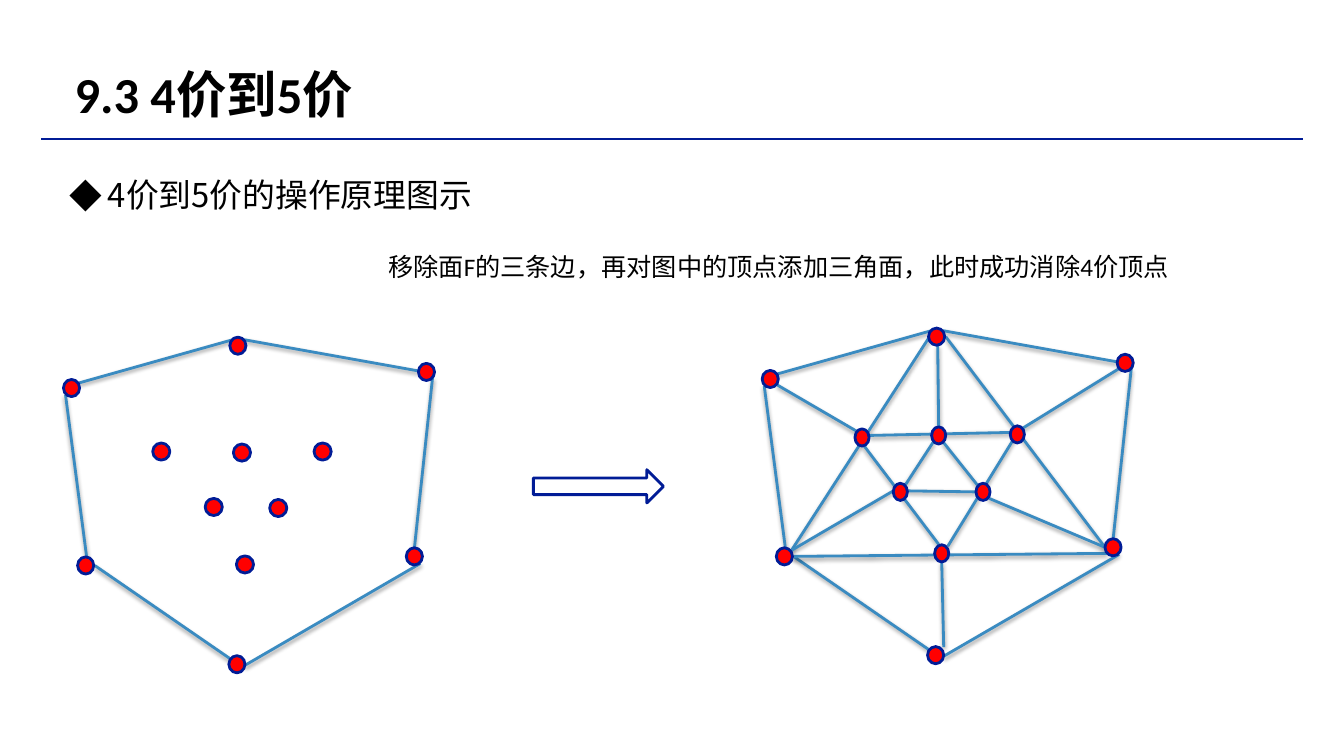
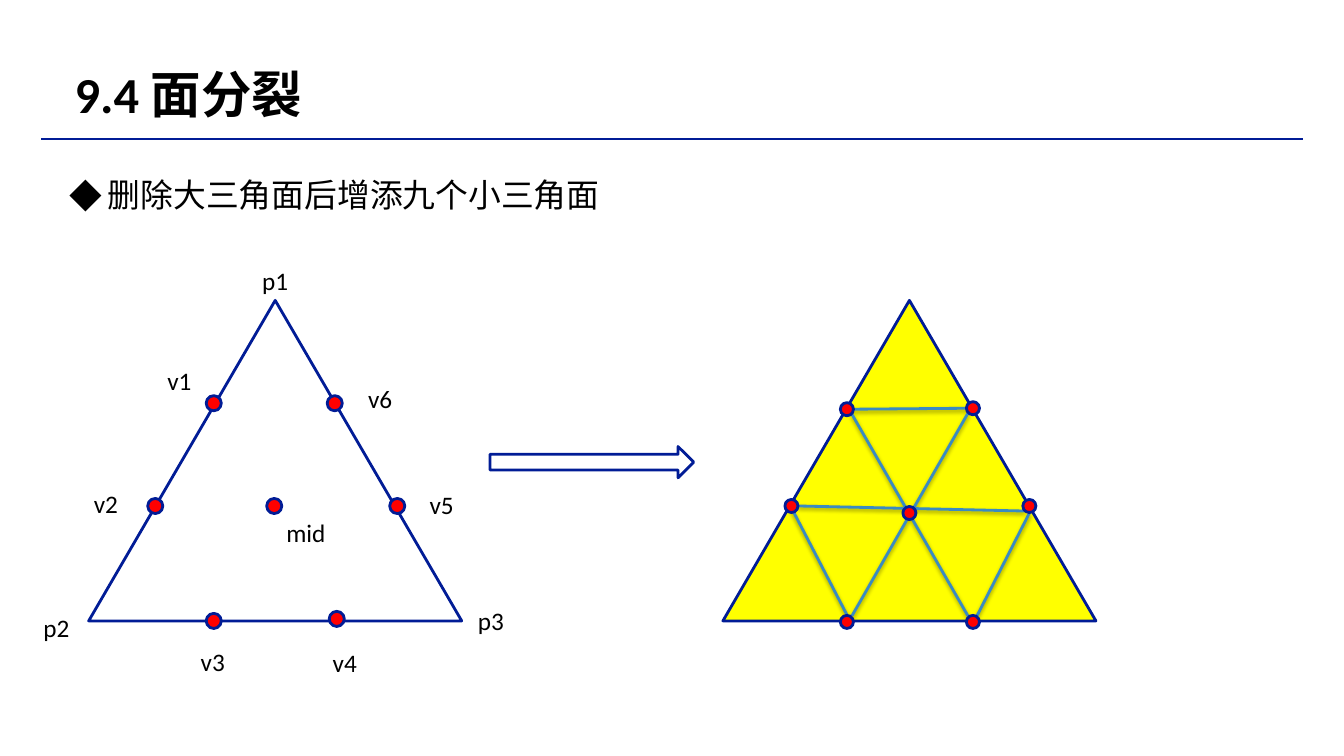
from lxml import etree
from pptx import Presentation
from pptx.dml.color import RGBColor
from pptx.enum.shapes import MSO_CONNECTOR, MSO_SHAPE
from pptx.enum.text import MSO_ANCHOR, MSO_AUTO_SIZE, PP_ALIGN
from pptx.oxml.ns import qn
from pptx.util import Inches, Pt

COLORS = {"navy": "011C96", "edge": "3A8BC1", "red": "FF0000",
          "yellow": "FFFF00", "black": "000000"}
LATIN, CHINESE = "Calibri", "Noto Sans CJK SC"


def write_text(frame, text, size, font=LATIN, bold=False, inset=0.05):
    """Fill a text frame with one left-aligned run."""
    frame.word_wrap = True
    frame.vertical_anchor = MSO_ANCHOR.TOP
    frame.margin_left = frame.margin_right = Inches(inset)
    frame.margin_top = frame.margin_bottom = Inches(inset)
    paragraph = frame.paragraphs[0]
    paragraph.alignment = PP_ALIGN.LEFT
    paragraph.space_before = Pt(0)
    run = paragraph.add_run()
    run.text = text
    run.font.size = Pt(size)
    run.font.bold = bold
    run.font.name = font
    run.font.color.rgb = RGBColor.from_string(COLORS["black"])
    etree.SubElement(run.font._element, qn("a:ea"), typeface=CHINESE)
    return paragraph


def add_line(slide, ends, color, width, shadow=False):
    """Draw a straight line, with or without a soft shadow below it."""
    line = slide.shapes.add_connector(
        MSO_CONNECTOR.STRAIGHT, *[Inches(value) for value in ends])
    line.line.color.rgb = RGBColor.from_string(COLORS[color])
    line.line.width = Pt(width)
    effects = etree.SubElement(line._element.spPr, qn("a:effectLst"))
    if shadow:
        outer = etree.SubElement(
            effects, qn("a:outerShdw"), blurRad=str(Pt(3)), dist=str(Pt(1.6)),
            dir="5400000", rotWithShape="0")
        shade = etree.SubElement(outer, qn("a:srgbClr"), val=COLORS["black"])
        etree.SubElement(shade, qn("a:alpha"), val="38000")


# Hexagon used on both sides of the first slide
HEXAGON_SHIFT = (6.93, -0.09)
hexagon_dots = [(2.36, 3.43), (4.23, 3.69), (4.11, 5.52),
                (2.35, 6.59), (0.85, 5.61), (0.71, 3.85)]
hexagon_edges = [
    (2.42, 3.37, 4.15, 3.68), (4.29, 3.75, 4.11, 5.44),
    (4.17, 5.59, 2.43, 6.6), (0.94, 5.61, 2.29, 6.54),
    (0.65, 3.92, 0.86, 5.53), (0.78, 3.8, 2.31, 3.37)]
dx, dy = HEXAGON_SHIFT
shifted_dots = [(x + dx, y + dy) for x, y in hexagon_dots]
shifted_edges = [(x1 + dx, y1 + dy, x2 + dx, y2 + dy)
                 for x1, y1, x2, y2 in hexagon_edges]
inner_edges = [
    (9.38, 3.34, 10.96, 5.43), (9.22, 3.34, 7.85, 5.46),
    (7.87, 5.52, 10.98, 5.49), (8.63, 4.32, 10.03, 4.29),
    (8.56, 4.41, 9.31, 5.4), (10.07, 4.33, 9.4, 5.42),
    (9.26, 4.38, 8.98, 4.81), (9.35, 4.38, 9.7, 4.82),
    (9, 4.87, 9.68, 4.88), (7.71, 3.82, 8.5, 4.28),
    (11.11, 3.65, 10.14, 4.25), (9.34, 5.57, 9.36, 6.42),
    (9.3, 3.43, 9.31, 4.23), (7.85, 5.46, 8.86, 4.87),
    (9.8, 4.94, 10.96, 5.43)]

# Outlines: shape, box, fill. Dots: width, height, centres. Labels: text, box.
SLIDES = [
    {"title": "9.3 4价到5价",
     "bullet": "4价到5价的操作原理图示",
     "outlines": [(MSO_SHAPE.RIGHT_ARROW, (5.29, 4.66, 1.29, 0.33), None)],
     "edges": hexagon_edges + shifted_edges + inner_edges,
     "dots": [
         (0.16, 0.17, hexagon_dots + shifted_dots),
         (0.17, 0.17, [(1.6, 4.48), (2.4, 4.49), (3.2, 4.48),
                       (2.12, 5.03), (2.76, 5.04), (2.43, 5.6)]),
         (0.14, 0.17, [(8.55, 4.34), (9.31, 4.32), (10.09, 4.31),
                       (8.93, 4.88), (9.75, 4.88), (9.34, 5.49)])],
     "labels": [("移除面F的三条边，再对图中的顶点添加三角面，此时成功消除4价顶点",
                 3.8, 2.44, 8.07)]},
    {"title": "9.4 面分裂",
     "bullet": "删除大三角面后增添九个小三角面",
     "outlines": [
         (MSO_SHAPE.ISOSCELES_TRIANGLE, (0.88, 2.98, 3.7, 3.18), None),
         (MSO_SHAPE.RIGHT_ARROW, (4.86, 4.43, 2.02, 0.31), None),
         (MSO_SHAPE.ISOSCELES_TRIANGLE, (7.17, 2.98, 3.7, 3.18), "yellow")],
     "edges": [(8.44, 4.06, 9.61, 4.05), (7.83, 5, 8.4, 6.1),
               (10.21, 5.09, 9.69, 6.11), (8.45, 4.11, 9.6, 6.11),
               (9.6, 4.1, 8.45, 6.11), (7.92, 5.02, 10.16, 5.07)],
     "dots": [
         (0.15, 0.15, [(2.12, 4), (3.32, 4), (1.54, 5.02), (2.72, 5.02),
                       (3.94, 5.02), (2.12, 6.16), (3.34, 6.14)]),
         (0.13, 0.13, [(8.4, 4.06), (9.65, 4.05), (7.85, 5.02), (9.02, 5.09),
                       (10.21, 5.02), (8.4, 6.17), (9.65, 6.17)])],
     "labels": [("p1", 2.55, 2.58, 0.51), ("p2", 0.38, 6.03, 0.39),
                ("p3", 4.69, 5.96, 0.39), ("mid", 2.79, 5.08, 0.51),
                ("v1", 1.61, 3.58, 0.44), ("v2", 0.88, 4.8, 0.38),
                ("v3", 1.94, 6.36, 0.38), ("v4", 3.25, 6.37, 0.38),
                ("v5", 4.21, 4.81, 0.38), ("v6", 3.6, 3.75, 0.38)]},
]

presentation = Presentation()
presentation.slide_width = Inches(13.33)
presentation.slide_height = Inches(7.5)

for content in SLIDES:
    slide = presentation.slides.add_slide(presentation.slide_layouts[1])
    title, body = slide.placeholders

    # Title, rule and bullet
    for shape, box in ((title, (0.69, 0.58, 7.63, 0.66)),
                       (body, (0.69, 1.34, 12.01, 0.71))):
        shape.left, shape.top, shape.width, shape.height = map(Inches, box)
        shape.text_frame.auto_size = MSO_AUTO_SIZE.NONE
    write_text(title.text_frame, content["title"], 36, bold=True)
    add_line(slide, (0.41, 1.38, 12.92, 1.38), "navy", 1.5)
    paragraph = write_text(body.text_frame, content["bullet"], 23.4, CHINESE, inset=0)
    paragraph.line_spacing = 2.0
    properties = paragraph._p.get_or_add_pPr()
    properties.set("marL", str(Inches(0.38)))
    properties.set("indent", str(-Inches(0.38)))
    etree.SubElement(properties, qn("a:buFont"), typeface=CHINESE)
    etree.SubElement(properties, qn("a:buChar"), char="◆")

    # Edges lie above the outlines and below the dots
    dots = [(MSO_SHAPE.OVAL, (x - width / 2, y - height / 2, width, height), "red")
            for width, height, centres in content["dots"] for x, y in centres]
    for layer, edges in ((content["outlines"], content["edges"]), (dots, [])):
        for kind, box, fill in layer:
            shape = slide.shapes.add_shape(kind, *map(Inches, box))
            shape.shadow.inherit = False
            shape.line.color.rgb = RGBColor.from_string(COLORS["navy"])
            shape.line.width = Pt(2)
            if fill:
                shape.fill.solid()
                shape.fill.fore_color.rgb = RGBColor.from_string(COLORS[fill])
            else:
                shape.fill.background()
        for ends in edges:
            add_line(slide, ends, "edge", 2, shadow=True)

    # Labels
    for text, left, top, width in content["labels"]:
        label = slide.shapes.add_textbox(*map(Inches, (left, top, width, 0.4)))
        write_text(label.text_frame, text, 18)
        label.text_frame.auto_size = MSO_AUTO_SIZE.SHAPE_TO_FIT_TEXT

presentation.save("out.pptx")
